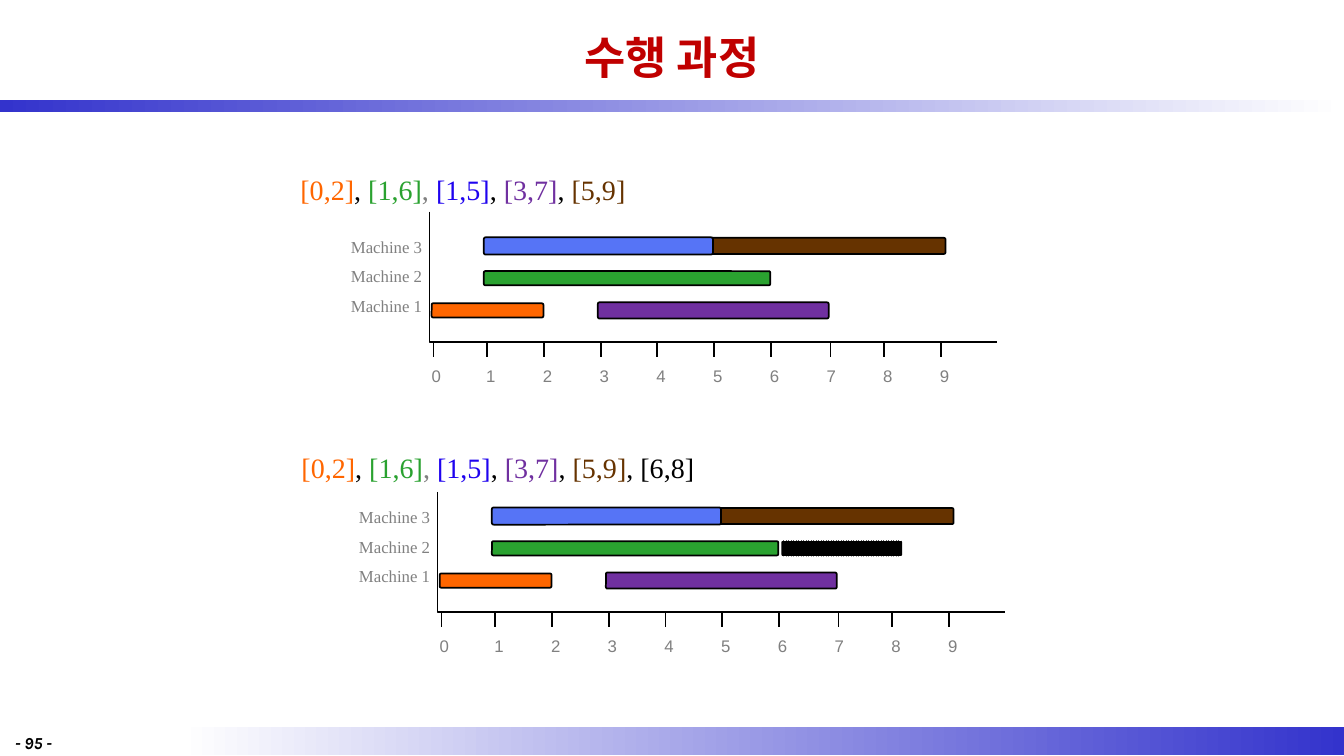
import pptx
import pptx.dml.color
import pptx.enum.dml
import pptx.enum.shapes
import pptx.enum.text
import pptx.oxml.ns
import pptx.util
from lxml import etree

RGB = pptx.dml.color.RGBColor
SHAPE = pptx.enum.shapes.MSO_SHAPE
ALIGN = pptx.enum.text.PP_ALIGN
ANCHOR = pptx.enum.text.MSO_ANCHOR

BLACK = RGB(0x00, 0x00, 0x00)
WHITE = RGB(0xFF, 0xFF, 0xFF)
GRAY = RGB(0x80, 0x80, 0x80)
RED = RGB(0xC0, 0x00, 0x00)
BAND_BLUE = RGB(0x33, 0x33, 0xCC)
ORANGE = RGB(0xFF, 0x66, 0x00)
GREEN = RGB(0x2A, 0xA2, 0x30)
BLUE = RGB(0x1F, 0x03, 0xEF)
LIGHT_BLUE = RGB(0x56, 0x74, 0xF6)
PURPLE = RGB(0x70, 0x30, 0xA0)
BROWN = RGB(0x66, 0x33, 0x00)

# Content
TITLE = "수행 과정"
PAGE = "- 95 -"
MACHINES = ["Machine 3", "Machine 2", "Machine 1"]
HOURS = range(10)
FIRST_JOBS = [
    ("[0,2]", ORANGE), (", ", BLACK), ("[1,6]", GREEN), (",", GRAY),
    (" [1,5]", BLUE), (", ", BLACK), ("[3,7]", PURPLE), (", ", BLACK),
    ("[5,9]", BROWN),
]
# Bars: machine row, drawn start and end hour, height, colour
FIRST_BARS = [
    (1, 0.94, 5.99, 0.14, GREEN),
    (2, 2.95, 7.02, 0.16, PURPLE),
    (0, 4.94, 9.08, 0.16, BROWN),
    (2, 0.02, 1.99, 0.14, ORANGE),
    (0, 0.94, 4.98, 0.17, LIGHT_BLUE),
]
ADDED_BAR = (1, 6.06, 8.16, 0.14, BLACK)
# Schedules: shift right, shift down, axis height, jobs, bars under and over the guides
SCHEDULES = [
    (0, 0, 1.29, FIRST_JOBS, [], FIRST_BARS),
    (0.08, 2.68, 1.19, FIRST_JOBS + [(", [6,8]", BLACK)], [ADDED_BAR], FIRST_BARS),
]

# Grid of one schedule, in inches
ZERO, HOUR = 4.27, 0.5625
BASE, TICK = 3.39, 0.15
AXIS_LEFT, AXIS_WIDTH = 4.26, 5.63
BAR_MIDDLE, BAR_STEP = 2.44, 0.32
NAME_TOP, NAME_STEP = 2.35, 0.29
GUIDE_TOP, GUIDE_STEP, GUIDE_WIDTH = 2.36, 0.158, 5.11
TICK_SHIFT = {0: 0.03, 7: 0.03}
LABEL_SHIFT = {0: 0.02}

inch = pptx.util.Inches
deck = pptx.Presentation()
deck.slide_width, deck.slide_height = inch(13.33), inch(7.5)
slide = deck.slides.add_slide(deck.slide_layouts[6])
shapes = slide.shapes


def add_band(left, top, width, height, colours):
    band = shapes.add_shape(SHAPE.RECTANGLE, *map(inch, (left, top, width, height)))
    band.shadow.inherit = False
    band.line.fill.background()
    band.fill.gradient()
    band.fill.gradient_angle = 0
    for stop, colour, position in zip(band.fill.gradient_stops, colours, (0, 1)):
        stop.color.rgb = colour
        stop.position = position


def add_text(box, runs, font, inset=(0, 0), wrap=False, anchor=ANCHOR.TOP,
             align=ALIGN.LEFT, spacing=1.0):
    """Write (text, colour) runs as one paragraph; inset is horizontal, vertical."""
    frame = shapes.add_textbox(*map(inch, box)).text_frame
    across, down = map(inch, inset)
    settings = {"margin_left": across, "margin_right": across, "margin_top": down,
                "margin_bottom": down, "word_wrap": wrap, "vertical_anchor": anchor}
    for name, value in settings.items():
        setattr(frame, name, value)
    paragraph = frame.paragraphs[0]
    paragraph.alignment, paragraph.line_spacing = align, spacing
    for text, colour in runs:
        run = paragraph.add_run()
        run.text = text
        run.font.color.rgb = colour
        for name, value in font.items():
            setattr(run.font, name, value)
        east_asian = etree.SubElement(run.font._element, pptx.oxml.ns.qn("a:ea"))
        east_asian.set("typeface", font["name"])


def add_line(x1, y1, x2, y2, colour=BLACK, width=1.25, dash=None):
    line = shapes.add_connector(pptx.enum.shapes.MSO_CONNECTOR.STRAIGHT,
                                *map(inch, (x1, y1, x2, y2)))
    line.line.color.rgb = colour
    line.line.width = pptx.util.Pt(width)
    line.line.dash_style = dash
    etree.SubElement(line._element.spPr, pptx.oxml.ns.qn("a:effectLst"))


def add_bar(right, down, row, start, end, height, colour):
    left = ZERO + right + start * HOUR
    top = BAR_MIDDLE + down + row * BAR_STEP - height / 2
    bar = shapes.add_shape(SHAPE.ROUNDED_RECTANGLE,
                           *map(inch, (left, top, (end - start) * HOUR, height)))
    bar.adjustments[0] = 0.1
    bar.shadow.inherit = False
    bar.fill.solid()
    bar.fill.fore_color.rgb = colour
    bar.line.color.rgb = BLACK
    bar.line.width = pptx.util.Pt(1.25)


def add_axes(left, base, height):
    outline = shapes.build_freeform(inch(left), inch(base - height))
    outline.add_line_segments([(inch(left), inch(base)),
                               (inch(left + AXIS_WIDTH), inch(base))], close=False)
    axes = outline.convert_to_shape()
    axes.shadow.inherit = False
    axes.fill.background()
    axes.line.color.rgb = BLACK
    axes.line.width = pptx.util.Pt(1.25)


def add_schedule(right, down, axis_height, jobs, under_bars, over_bars):
    base, zero = BASE + down, ZERO + right
    serif = {"name": "Times New Roman", "size": pptx.util.Pt(12)}
    sans = {"name": "Arial", "size": pptx.util.Pt(12)}
    for bar in under_bars:
        add_bar(right, down, *bar)
    for guide in range(6):
        y = GUIDE_TOP + down + guide * GUIDE_STEP
        add_line(zero + 0.03, y, zero + 0.03 + GUIDE_WIDTH, y, WHITE, 0.25,
                 pptx.enum.dml.MSO_LINE.DASH)
    for hour in HOURS:
        x = zero + hour * HOUR
        tick = x + TICK_SHIFT.get(hour, 0)
        add_line(tick, base + TICK, tick, base)
        if hour:
            add_line(x - HOUR / 2, base, x + HOUR / 2, base)
        add_text((x - 0.01 + LABEL_SHIFT.get(hour, 0), base + 0.24, 0.09, 0.2),
                 [(str(hour), GRAY)], sans)
    for row, machine in enumerate(MACHINES):
        add_text((3.48 + right, NAME_TOP + down + row * NAME_STEP, 0.72, 0.2),
                 [(machine, GRAY)], serif)
    add_axes(AXIS_LEFT + right, base, axis_height)
    for bar in over_bars:
        add_bar(right, down, *bar)
    add_text((2.98 + right / 8, 1.69 + down * 1.03, 4.5, 0.34), jobs,
             {**serif, "size": pptx.util.Pt(20)}, spacing=1.05)


add_band(1.78, 7.21, 11.55, 0.28, (WHITE, BAND_BLUE))
add_band(0, 0.99, 13.33, 0.12, (BAND_BLUE, WHITE))
add_text((1, 0.05, 11.33, 1.03), [(TITLE, RED)],
         {"name": "Noto Sans CJK KR", "size": pptx.util.Pt(32), "bold": True},
         (0.1, 0.05), True, ANCHOR.MIDDLE, ALIGN.CENTER)
add_text((0.05, 7.22, 0.95, 0.24), [(PAGE, BLACK)],
         {"name": "Karla", "size": pptx.util.Pt(12), "bold": True, "italic": True},
         (0.1, 0.05), True)
for schedule in SCHEDULES:
    add_schedule(*schedule)

deck.save("out.pptx")
